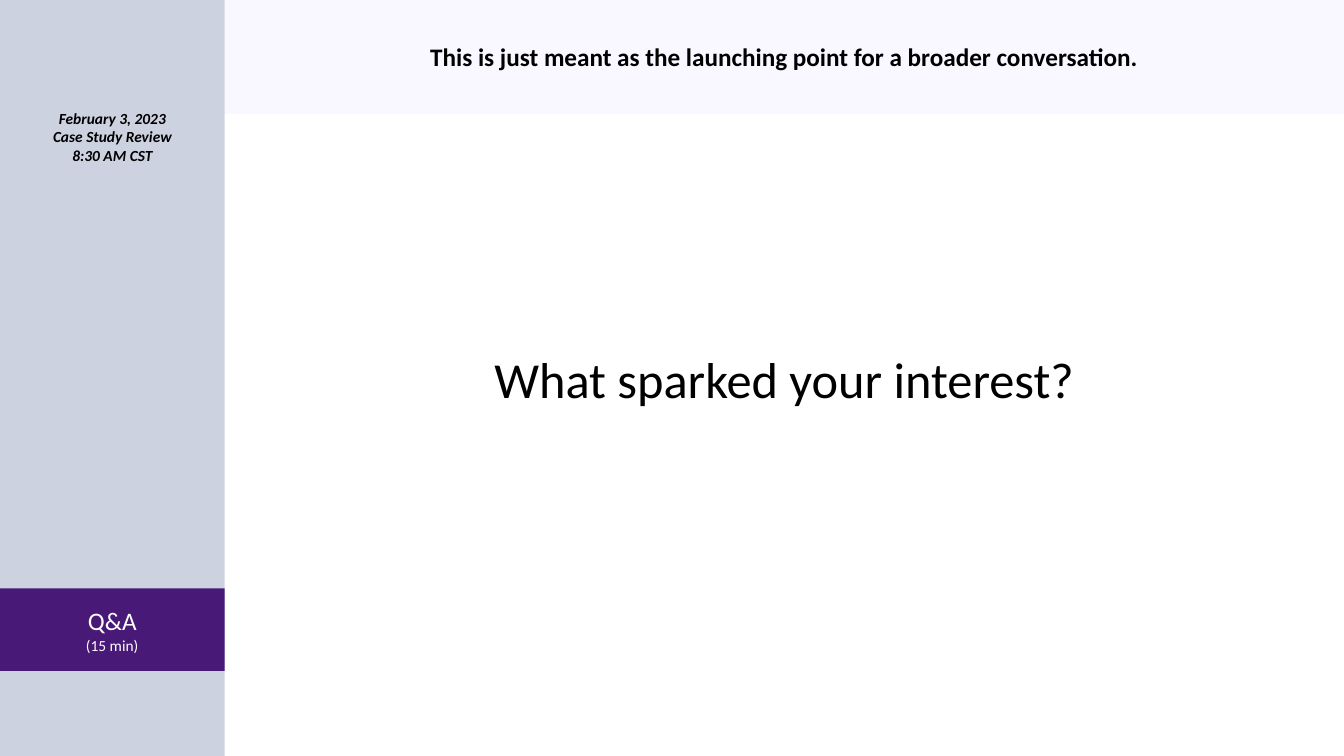
from lxml.etree import SubElement
from pptx import Presentation
from pptx.dml.color import RGBColor
from pptx.enum.shapes import MSO_SHAPE as Shape
from pptx.enum.text import MSO_ANCHOR as Anchor, MSO_AUTO_SIZE as Fit, PP_ALIGN as Align
from pptx.oxml.ns import qn
from pptx.util import Cm, Pt

NAVY = RGBColor(0x00, 0x20, 0x60)
PURPLE = RGBColor(0x49, 0x19, 0x78)
LILAC = RGBColor(0xE4, 0xDB, 0xFF)
WHITE = RGBColor(0xFF, 0xFF, 0xFF)
BLACK = RGBColor(0x00, 0x00, 0x00)
WIDE, HIGH, SIDE = 33.87, 19.05, 5.66


def write(frame, *lines, color=BLACK, bold=False, italic=False, anchor=Anchor.MIDDLE, wrap=True):
    frame.word_wrap = wrap
    frame.auto_size = Fit.NONE
    frame.vertical_anchor = anchor
    for i, (text, size) in enumerate(lines):
        para = frame.add_paragraph() if i else frame.paragraphs[0]
        para.alignment = Align.CENTER
        run = para.add_run()
        run.text = text
        font = run.font
        font.name, font.size = "Calibri", Pt(size)
        font.bold, font.italic = bold, italic
        font.color.rgb = color


class Deck:
    """Build one agenda slide with a side bar, a banner and a main question."""

    def __init__(self):
        self.show = Presentation()
        self.show.slide_width, self.show.slide_height = Cm(WIDE), Cm(HIGH)
        self.slide = self.show.slides.add_slide(self.show.slide_layouts[5])

    def panel(self, x, y, w, h, fill, *lines, alpha=None, **style):
        box = self.slide.shapes.add_shape(Shape.RECTANGLE, Cm(x), Cm(y), Cm(w), Cm(h))
        box.shadow.inherit = False
        box.line.fill.background()
        box.fill.solid()
        box.fill.fore_color.rgb = fill
        if alpha:
            tint = box._element.spPr.find(qn("a:solidFill"))[0]
            SubElement(tint, qn("a:alpha"), val=str(alpha * 1000))
        write(box.text_frame, *lines, **style)

    def label(self, x, y, w, h, *lines, **style):
        box = self.slide.shapes.add_textbox(Cm(x), Cm(y), Cm(w), Cm(h))
        write(box.text_frame, *lines, **style)

    def title(self, x, y, w, h, *lines, **style):
        head = self.slide.shapes.title
        head.left, head.top, head.width, head.height = Cm(x), Cm(y), Cm(w), Cm(h)
        write(head.text_frame, *lines, **style)


def main():
    deck = Deck()
    deck.panel(0, 0, SIDE, HIGH, NAVY, alpha=20)
    deck.panel(0, 14.83, SIDE, 2.08, PURPLE, ("Q&A", 18), ("(15 min)", 11), color=WHITE)
    deck.panel(SIDE, 0, WIDE - SIDE, 2.87, LILAC,
               ("This is just meant as the launching point for a broader conversation.", 18),
               alpha=20, bold=True)
    deck.label(0.79, 2.62, 4.09, 1.98,
               ("February 3, 2023", 11), ("Case Study Review", 11), ("8:30 AM CST", 11),
               bold=True, italic=True, anchor=Anchor.TOP, wrap=False)
    deck.title(9.96, 8.64, 19.61, 1.8, ("What sparked your interest?", 36), anchor=Anchor.TOP)
    deck.show.save("out.pptx")


if __name__ == "__main__":
    main()
